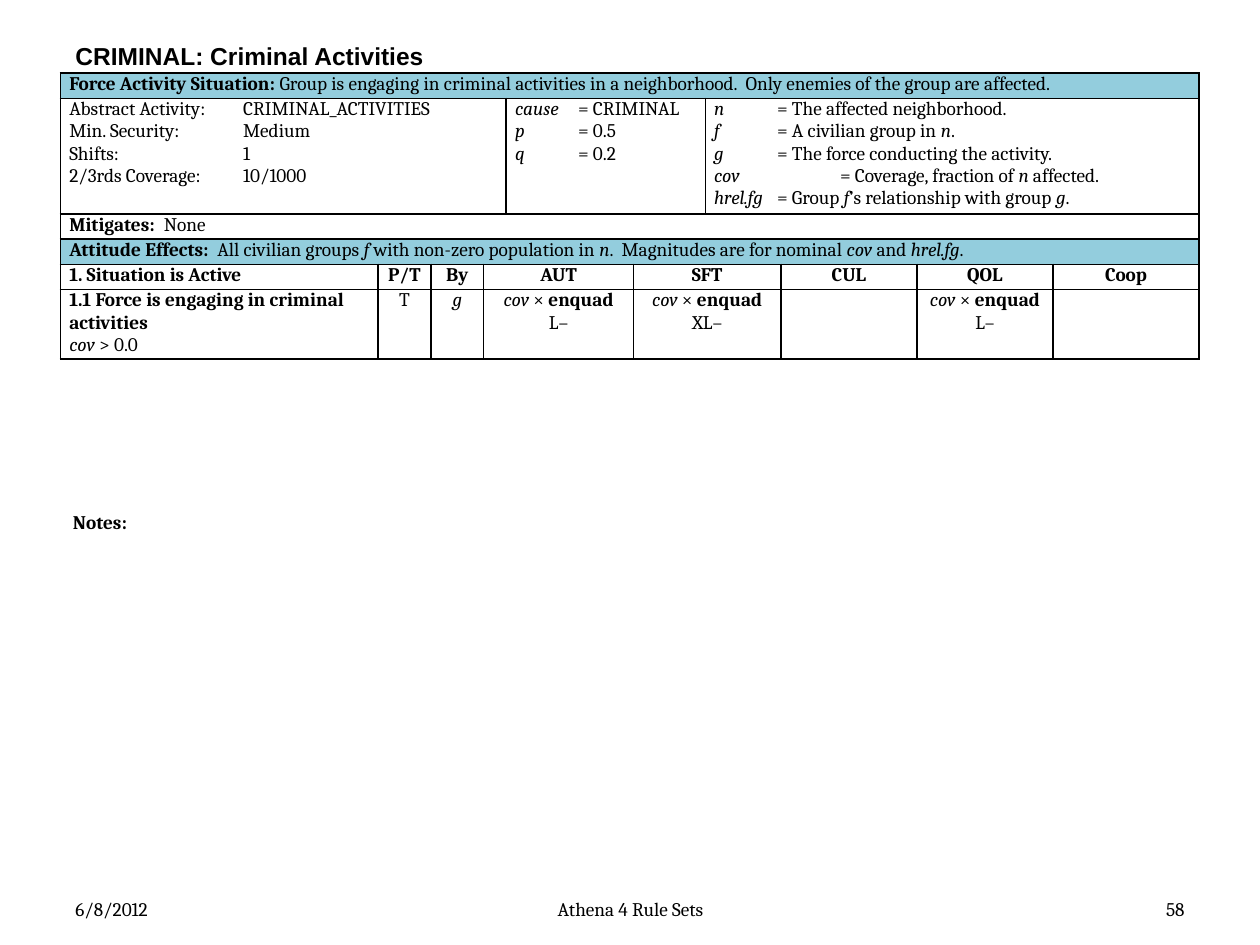
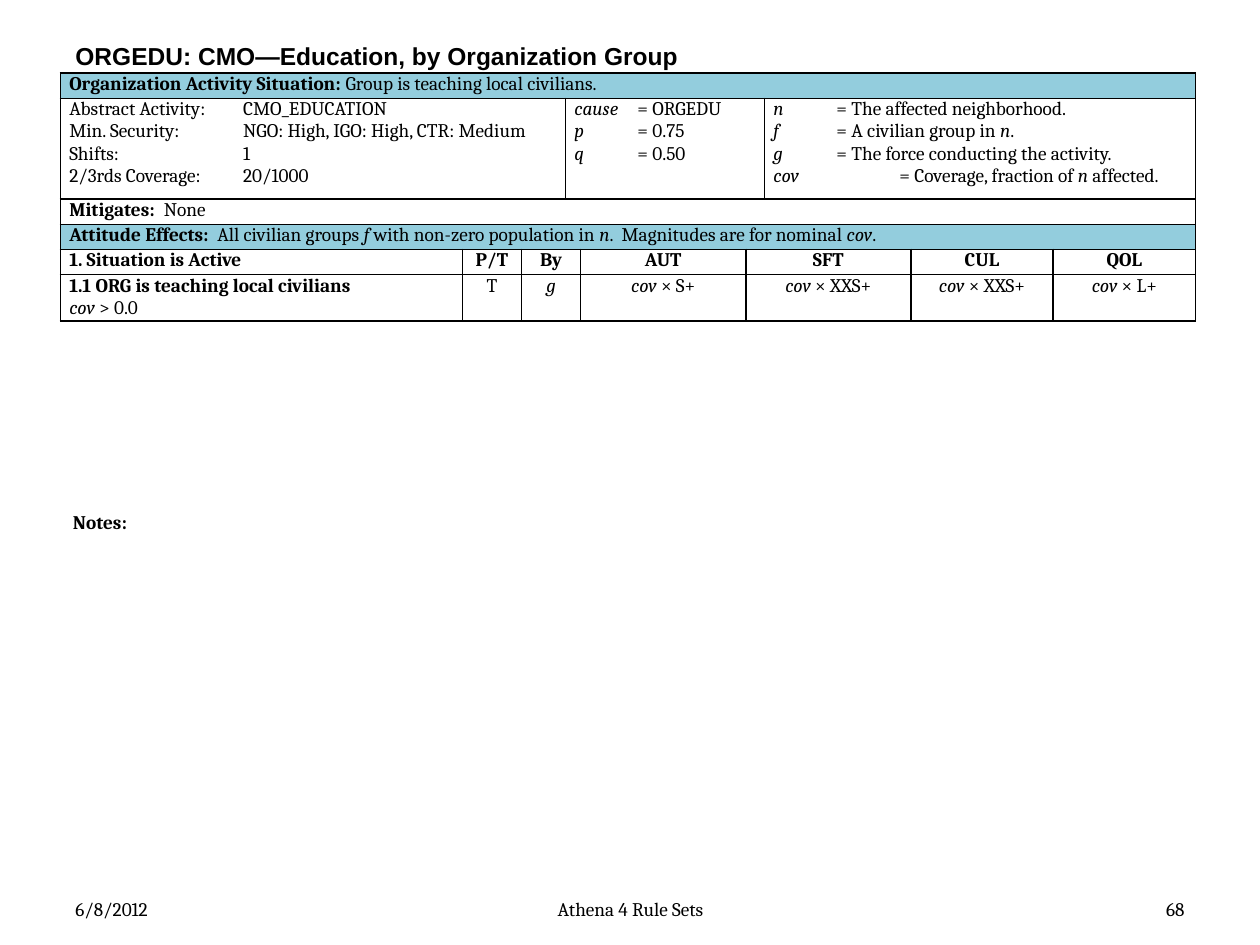
from lxml.etree import SubElement
from pptx import Presentation
from pptx.dml.color import RGBColor
from pptx.enum.text import MSO_ANCHOR, PP_ALIGN
from pptx.oxml.ns import qn
from pptx.util import Inches, Pt

HUES = {"ink": "000000", "band": "93CDDD", "page": "FFFFFF"}
FACTS = "Abstract Activity:\t{}\nMin. Security:\t{}\nShifts:\t{}\n2/3rds Coverage:\t{}"
CAUSE = "~cause~\t= {}\n~p~\t= {}\n~q~\t= {}"
TERMS = (
    "~n~\t= The affected neighborhood.\n"
    "~f~\t= A civilian group in ~n~.\n"
    "~g~\t= The force conducting the activity.\n"
    "~cov~\t\t= Coverage, fraction of ~n~ affected."
)
EFFECT = (
    "*Attitude Effects:  *All civilian groups ~f ~with non-zero population in ~n~."
    "  Magnitudes are for nominal ~cov~{}."
)
QUAD = "~cov~ × *enquad*\n{}"


class Deck:
    """Draw rule sheets on a grid of 100 columns by 75 rows."""

    def __init__(self):
        self.show = Presentation()
        self.show.slide_width = Inches(10)
        self.show.slide_height = Inches(7.5)
        self.unit = self.show.slide_width // 100
        self.slide = None

    def at(self, *cells):
        return [round(cell * self.unit) for cell in cells]

    def page(self, title, number):
        self.slide = self.show.slides.add_slide(self.show.slide_layouts[6])
        self.label((5, 3, 90, 2.8), f"*{title}*", face="Arial", size=14)
        self.label((5, 70.8, 23.3, 2.7), "6/8/2012")
        self.label((34.2, 70.8, 31.7, 2.7), "Athena 4 Rule Sets", PP_ALIGN.CENTER)
        self.label((71.7, 70.8, 23.3, 2.7), number, PP_ALIGN.RIGHT)
        self.label((4.8, 40, 90.8, 2.9), "*Notes:*")

    def label(self, box, text, align=PP_ALIGN.LEFT, face="Cambria", size=11):
        frame = self.slide.shapes.add_textbox(*self.at(*box)).text_frame
        frame.word_wrap = True
        frame.vertical_anchor = MSO_ANCHOR.MIDDLE
        self.prose(frame, text, align, face=face, size=size)

    def prose(self, frame, text, align=PP_ALIGN.LEFT, stop=0, face="Cambria", size=11):
        for index, line in enumerate(text.split("\n")):
            para = frame.add_paragraph() if index else frame.paragraphs[0]
            para.alignment = align
            if "\t" in line:
                self.tab(para, stop)
            for bold, chunk in enumerate(line.split("*")):
                for slant, part in enumerate(chunk.split("~")):
                    if part:
                        run = para.add_run()
                        run.text = part
                        font = run.font
                        font.name, font.size = face, Pt(size)
                        font.bold, font.italic = bold % 2 == 1, slant % 2 == 1
                        font.color.rgb = RGBColor.from_string(HUES["ink"])
            if not line:
                SubElement(para._p, qn("a:endParaRPr"), sz=str(size * 100))

    def tab(self, para, stop):
        props = para._p.get_or_add_pPr()
        if stop:
            stops = SubElement(props, qn("a:tabLst"))
            for place in self.at(stop, 2 * stop):
                SubElement(stops, qn("a:tab"), pos=str(place), algn="l")
        else:
            hang = self.at(7.5)[0]
            props.set("marL", str(hang))
            props.set("indent", str(-hang))

    def edge(self, cell):
        props = cell._tc.get_or_add_tcPr()
        for side in "LRTB":
            line = SubElement(props, qn(f"a:ln{side}"), w=str(Pt(1)))
            fill = SubElement(line, qn("a:solidFill"))
            SubElement(fill, qn("a:srgbClr"), val=HUES["ink"])

    def table(self, wide, high, body):
        box = self.at(4.8, 5.8, sum(wide), sum(high))
        grid = self.slide.shapes.add_table(len(high), len(wide), *box).table
        grid.first_row = grid.horz_banding = False
        for column, size in zip(grid.columns, self.at(*wide)):
            column.width = size
        for line, size in zip(grid.rows, self.at(*high)):
            line.height = size
        for row, (hue, align, cells) in enumerate(body):
            col = 0
            for span, text, *stop in cells:
                for step in range(span):
                    cell = grid.cell(row, col + step)
                    cell.margin_left = cell.margin_right = self.at(0.7)[0]
                    cell.margin_top = cell.margin_bottom = 0
                    self.edge(cell)
                    if hue:
                        cell.fill.solid()
                        cell.fill.fore_color.rgb = RGBColor.from_string(HUES[hue])
                    else:
                        cell.fill.background()
                    side = align if col else PP_ALIGN.LEFT
                    self.prose(cell.text_frame, "" if step else text, side, *stop)
                if span > 1:
                    grid.cell(row, col).merge(grid.cell(row, col + span - 1))
                col += span

    def rules(self, wide, high, lead, facts, extra, spans, heads, values):
        left, mid = PP_ALIGN.LEFT, PP_ALIGN.CENTER
        full = len(wide)
        names = ["1. Situation is Active", "P/T", "By"] + heads
        self.table(wide, high, [
            ("band", left, [(full, lead)]),
            (None, left, facts),
            ("page", left, [(full, "*Mitigates:*\tNone")]),
            ("band", left, [(full, EFFECT.format(extra))]),
            ("page", mid, [(span, f"*{name}*") for span, name in zip(spans, names)]),
            (None, mid, list(zip(spans, values))),
        ])


def main():
    deck = Deck()
    deck.page("CRIMINAL: Criminal Activities", "58")
    deck.rules(
        [25.2, 4.2, 4.2, 1.6, 10.1, 5.7, 6, 10.8, 10.8, 11.6],
        [2, 8.9, 2, 2, 2, 5.3],
        "*Force Activity Situation:* Group is engaging in criminal activities"
        " in a neighborhood.  Only enemies of the group are affected.",
        [
            (4, FACTS.format("CRIMINAL_ACTIVITIES", "Medium", "1", "10/1000"), 13.8),
            (2, CAUSE.format("CRIMINAL", "0.5", "0.2"), 5),
            (4, TERMS + "\n~hrel.fg~\t= Group ~f~’s relationship with group ~g~.", 5),
        ],
        " and ~hrel.fg~",
        [1, 1, 1, 2, 2, 1, 1, 1],
        ["AUT", "SFT", "CUL", "QOL", "Coop"],
        ["*1.1 Force is engaging in criminal activities*\n~cov~ > 0.0", "T", "~g~",
         QUAD.format("L–"), QUAD.format("XL–"), "", QUAD.format("L–"), ""],
    )
    deck.page("ORGEDU: CMO—Education, by Organization Group", "68")
    deck.rules(
        [31.9, 4.7, 3.5, 1.2, 13.1, 1.5, 11.6, 11.3, 11.3],
        [2, 8, 2, 2, 2, 3.5],
        "*Organization Activity Situation:* Group is teaching local civilians.",
        [
            (3, FACTS.format("CMO_EDUCATION", "NGO: High, IGO: High, CTR: Medium",
                             "1", "20/1000"), 13.8),
            (3, CAUSE.format("ORGEDU", "0.75", "0.50"), 5),
            (3, TERMS, 5),
        ],
        "",
        [1, 1, 2, 1, 2, 1, 1],
        ["AUT", "SFT", "CUL", "QOL"],
        ["*1.1 ORG is teaching local civilians*\n~cov~ > 0.0", "T", "~g~"]
        + [f"~cov~ × {size}" for size in ("S+", "XXS+", "XXS+", "L+")],
    )
    deck.show.save("out.pptx")


if __name__ == "__main__":
    main()
